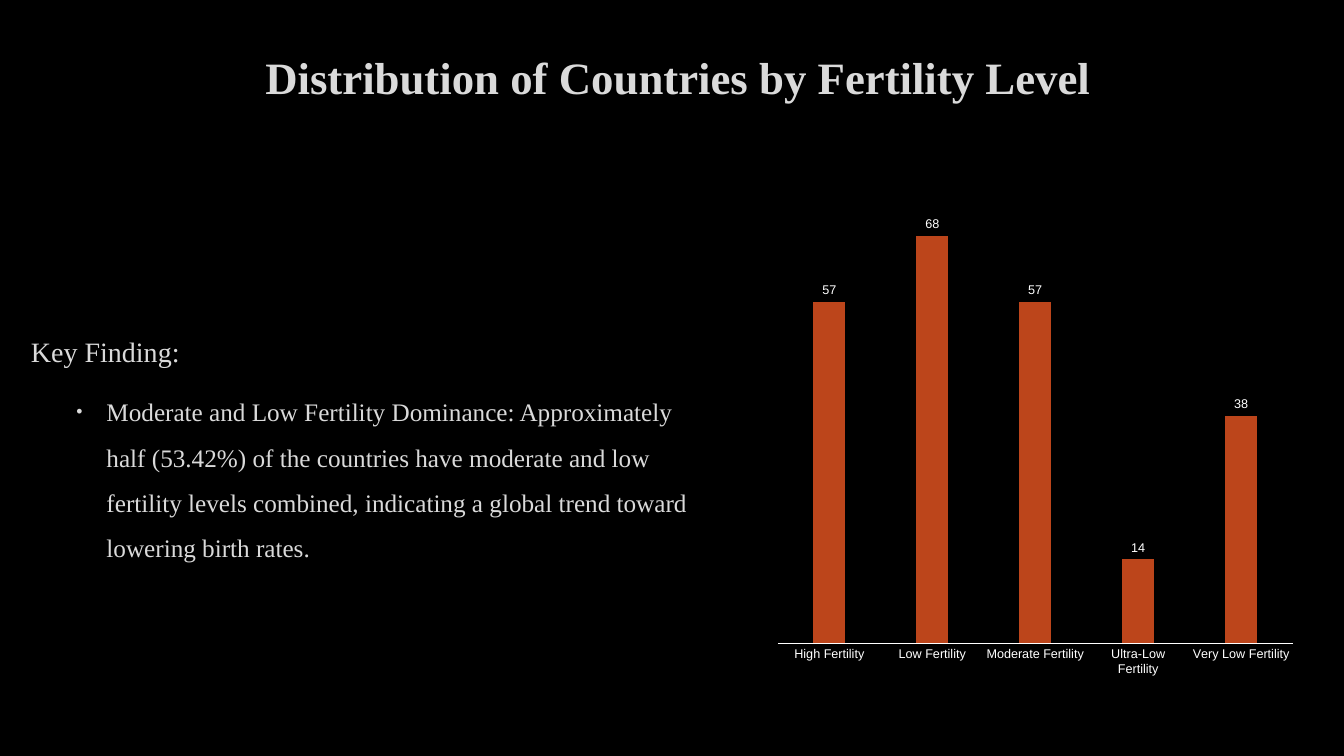
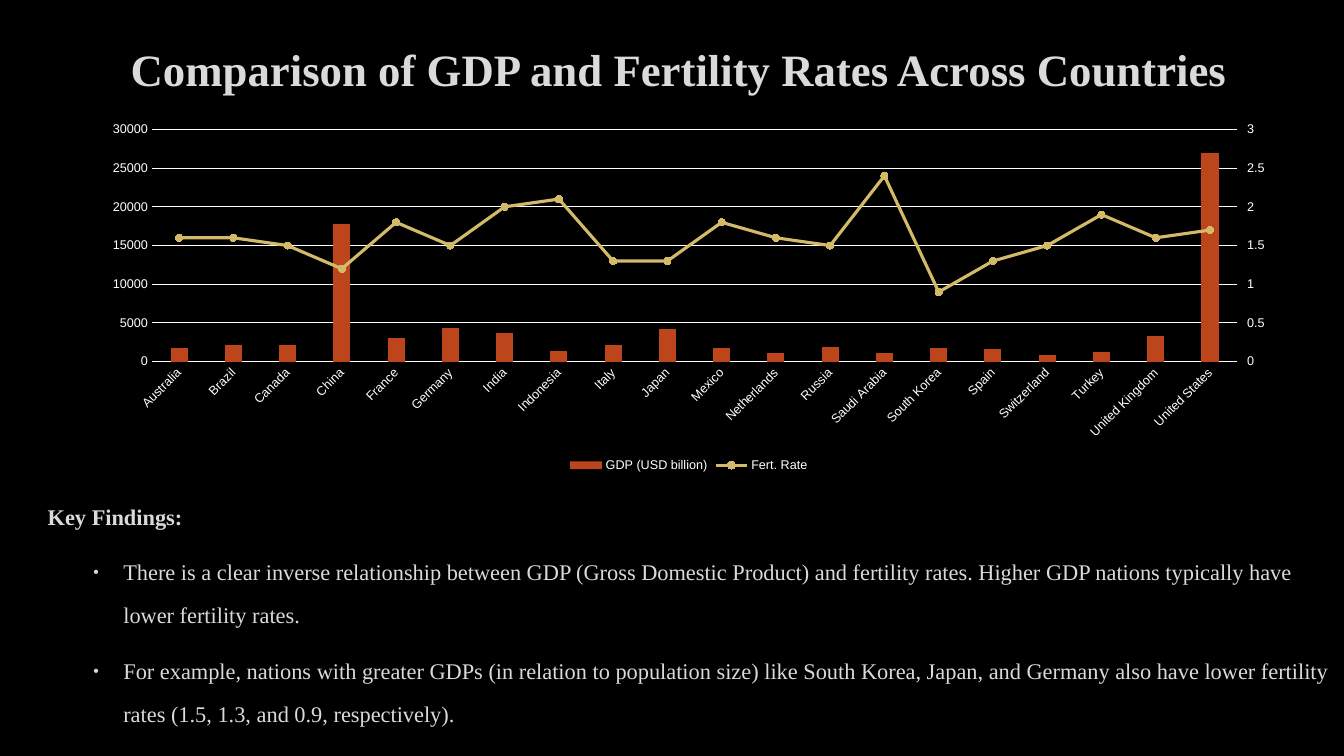
from lxml import etree
from pptx import Presentation, oxml
from pptx.chart import axis, data
from pptx.dml.color import RGBColor
from pptx.enum import chart as chart_enum, text
from pptx.oxml import ns
from pptx.util import Pt

BLACK = RGBColor(0x00, 0x00, 0x00)
WHITE = RGBColor(0xFF, 0xFF, 0xFF)
LIGHT_GREY = RGBColor(0xDA, 0xDA, 0xDA)
RUST = RGBColor(0xBC, 0x45, 0x1B)
GOLD = RGBColor(0xD3, 0xBA, 0x68)
TEXT_FONT, CHART_FONT = "Times New Roman", "Arial"

FERTILITY_LEVELS = {
    "High Fertility": 57,
    "Low Fertility": 68,
    "Moderate Fertility": 57,
    "Ultra-Low Fertility": 14,
    "Very Low Fertility": 38,
}
# Country: GDP in billions of US dollars, fertility rate
COUNTRIES = {
    "Australia": (1700, 1.6),
    "Brazil": (2100, 1.6),
    "Canada": (2100, 1.5),
    "China": (17800, 1.2),
    "France": (3100, 1.8),
    "Germany": (4400, 1.5),
    "India": (3700, 2),
    "Indonesia": (1400, 2.1),
    "Italy": (2200, 1.3),
    "Japan": (4200, 1.3),
    "Mexico": (1800, 1.8),
    "Netherlands": (1100, 1.6),
    "Russia": (1900, 1.5),
    "Saudi Arabia": (1100, 2.4),
    "South Korea": (1700, 0.9),
    "Spain": (1600, 1.3),
    "Switzerland": (900, 1.5),
    "Turkey": (1200, 1.9),
    "United Kingdom": (3300, 1.6),
    "United States": (27000, 1.7),
}
gdps, rates = zip(*COUNTRIES.values())

SLIDES = [
    {
        "title": "Distribution of Countries by Fertility Level",
        "title_box": (77, 16.5, 815, 76.5),
        "title_spacing": 1.0,
        "body_box": (12, 100, 493.5, 429),
        "body_anchor": text.MSO_ANCHOR.MIDDLE,
        "body_spacing": 1.5,
        "heading": ("Key Finding:", 20, False),
        "bullet_size": 18,
        "bullets": [
            "Moderate and Low Fertility Dominance: Approximately half (53.42%) of the "
            "countries have moderate and low fertility levels combined, indicating a "
            "global trend toward lowering birth rates.",
        ],
        "chart_box": (548, 109.5, 383, 381.5),
        "categories": FERTILITY_LEVELS,
        "series": {"Series 1": FERTILITY_LEVELS.values()},
    },
    {
        "title": "Comparison of GDP and Fertility Rates Across Countries",
        "title_box": (77.5, 9.5, 815, 60.5),
        "title_spacing": 1.5,
        "body_box": (24, 344, 934.5, 178.5),
        "body_anchor": text.MSO_ANCHOR.TOP,
        "body_spacing": 1.6,
        "heading": ("Key Findings:", 16, True),
        "bullet_size": 16,
        "bullets": [
            "There is a clear inverse relationship between GDP (Gross Domestic Product) "
            "and fertility rates. Higher GDP nations typically have lower fertility rates.",
            "For example, nations with greater GDPs (in relation to population size) like "
            "South Korea, Japan, and Germany also have lower fertility rates "
            "(1.5, 1.3, and 0.9, respectively).",
        ],
        "chart_box": (63.5, 82, 857, 258.5),
        "categories": COUNTRIES,
        "series": {"GDP (USD billion)": gdps, "Fert. Rate": rates},
    },
]


def set_font(font, name, size, color, bold=False):
    font.name, font.size, font.bold = name, Pt(size), bold
    font.color.rgb = color


def add_text(slide, box, anchor, spacing, entries):
    """Add a text box; each entry is (text, size, bold, is_bullet)."""
    frame = slide.shapes.add_textbox(*map(Pt, box)).text_frame
    frame.word_wrap = True
    frame.vertical_anchor = anchor
    for index, (words, size, bold, is_bullet) in enumerate(entries):
        paragraph = frame.paragraphs[0] if index == 0 else frame.add_paragraph()
        paragraph.text = words
        paragraph.line_spacing = spacing
        properties = paragraph._p.get_or_add_pPr()
        if is_bullet:
            properties.set("marL", str(Pt(57)))
            properties.set("indent", str(Pt(-21.5)))
            color = etree.SubElement(properties, ns.qn("a:buClr"))
            etree.SubElement(color, ns.qn("a:srgbClr"), val=str(LIGHT_GREY))
            etree.SubElement(properties, ns.qn("a:buSzPct"), val="70000")
            etree.SubElement(properties, ns.qn("a:buFont"), typeface="Arial")
            etree.SubElement(properties, ns.qn("a:buChar"), char="•")
        set_font(paragraph.font, TEXT_FONT, size, LIGHT_GREY, bold)
    return frame


presentation = Presentation()
presentation.slide_width, presentation.slide_height = Pt(960), Pt(540)
background = presentation.slide_master.background.fill
background.solid()
background.fore_color.rgb = BLACK

charts = []
for content in SLIDES:
    slide = presentation.slides.add_slide(presentation.slide_layouts[6])
    title = add_text(slide, content["title_box"], text.MSO_ANCHOR.MIDDLE,
                     content["title_spacing"], [(content["title"], 32, True, False)])
    title.paragraphs[0].alignment = text.PP_ALIGN.CENTER

    entries = [(*content["heading"], False)]
    entries += [(words, content["bullet_size"], False, True) for words in content["bullets"]]
    body = add_text(slide, content["body_box"], content["body_anchor"],
                    content["body_spacing"], entries)
    for paragraph in body.paragraphs:
        paragraph.space_before = Pt(paragraph.font.size.pt * 0.2)
        paragraph.space_after = Pt(6)
    body.paragraphs[0]._p.pPr.set("marL", str(Pt(3)))

    chart_data = data.CategoryChartData()
    chart_data.categories = list(content["categories"])
    for name, values in content["series"].items():
        chart_data.add_series(name, list(values))
    chart = slide.shapes.add_chart(chart_enum.XL_CHART_TYPE.COLUMN_CLUSTERED,
                                   *map(Pt, content["chart_box"]), chart_data).chart
    chart.has_title = False
    chart.has_legend = False
    set_font(chart.font, CHART_FONT, 10, WHITE)
    columns = chart.plots[0]
    columns.gap_width = 219
    columns.vary_by_categories = False
    columns.series[0].format.fill.solid()
    columns.series[0].format.fill.fore_color.rgb = RUST
    category_axis = chart.category_axis
    category_axis.major_tick_mark = chart_enum.XL_TICK_MARK.NONE
    set_font(category_axis.tick_labels.font, CHART_FONT, 9, WHITE)
    category_axis.format.line.color.rgb = WHITE
    category_axis.format.line.width = Pt(0.75)
    charts.append(chart)

# Fertility levels: labelled columns without a value axis
level_chart, country_chart = charts
level_chart.value_axis.visible = False
level_chart.value_axis.has_major_gridlines = False
level_chart.plots[0].overlap = -27
labels = level_chart.plots[0].series[0].data_labels
labels.show_value = True
labels.position = chart_enum.XL_LABEL_POSITION.OUTSIDE_END
set_font(labels.font, CHART_FONT, 9, WHITE)

# Countries: GDP columns, with the fertility rate as a line on a second axis
category_text = country_chart.category_axis._element.find(ns.qn("c:txPr"))
category_text.find(ns.qn("a:bodyPr")).set("rot", "-2700000")
gdp_axis = country_chart.value_axis
gridline = gdp_axis.major_gridlines.format.line
gridline.color.rgb = WHITE
gridline.width = Pt(0.75)
country_chart.has_legend = True
legend = country_chart.legend
legend.position = chart_enum.XL_LEGEND_POSITION.BOTTOM
legend.include_in_layout = False
set_font(legend.font, CHART_FONT, 9, WHITE)

line_plot = oxml.parse_xml(
    f'<c:lineChart {ns.nsdecls("c")}><c:grouping val="stacked"/><c:varyColors val="0"/>'
    '<c:marker val="1"/><c:axId val="5001"/><c:axId val="5002"/></c:lineChart>')
rate_axis_element = oxml.parse_xml(
    f'<c:valAx {ns.nsdecls("c")}><c:axId val="5002"/>'
    '<c:scaling><c:orientation val="minMax"/></c:scaling><c:delete val="0"/>'
    '<c:axPos val="r"/><c:numFmt formatCode="General" sourceLinked="1"/>'
    '<c:majorTickMark val="out"/><c:minorTickMark val="none"/><c:tickLblPos val="nextTo"/>'
    '<c:crossAx val="5001"/><c:crosses val="max"/></c:valAx>')
hidden_axis_element = oxml.parse_xml(
    f'<c:catAx {ns.nsdecls("c")}><c:axId val="5001"/>'
    '<c:scaling><c:orientation val="minMax"/></c:scaling><c:delete val="1"/>'
    '<c:axPos val="b"/><c:crossAx val="5002"/><c:crosses val="autoZero"/></c:catAx>')
rate_element = country_chart.plots[0].series[1]._element
bar_plot = rate_element.getparent()
for column_setting in rate_element.findall(ns.qn("c:invertIfNegative")):
    rate_element.remove(column_setting)
line_plot.insert(2, rate_element)
bar_plot.addnext(line_plot)
gdp_axis._element.addnext(rate_axis_element)
rate_axis_element.addnext(hidden_axis_element)

rate_axis = axis.ValueAxis(rate_axis_element)
gdp_axis.major_tick_mark = chart_enum.XL_TICK_MARK.NONE
for value_axis in (gdp_axis, rate_axis):
    set_font(value_axis.tick_labels.font, CHART_FONT, 9, WHITE)
    value_axis.format.line.fill.background()

rate_series = country_chart.plots[1].series[0]
rate_series.smooth = False
rate_series.format.line.color.rgb = GOLD
rate_series.format.line.width = Pt(2.25)
marker = rate_series.marker
marker.style = chart_enum.XL_MARKER_STYLE.CIRCLE
marker.size = 5
marker.format.fill.solid()
marker.format.fill.fore_color.rgb = GOLD
marker.format.line.color.rgb = GOLD

presentation.save("out.pptx")
